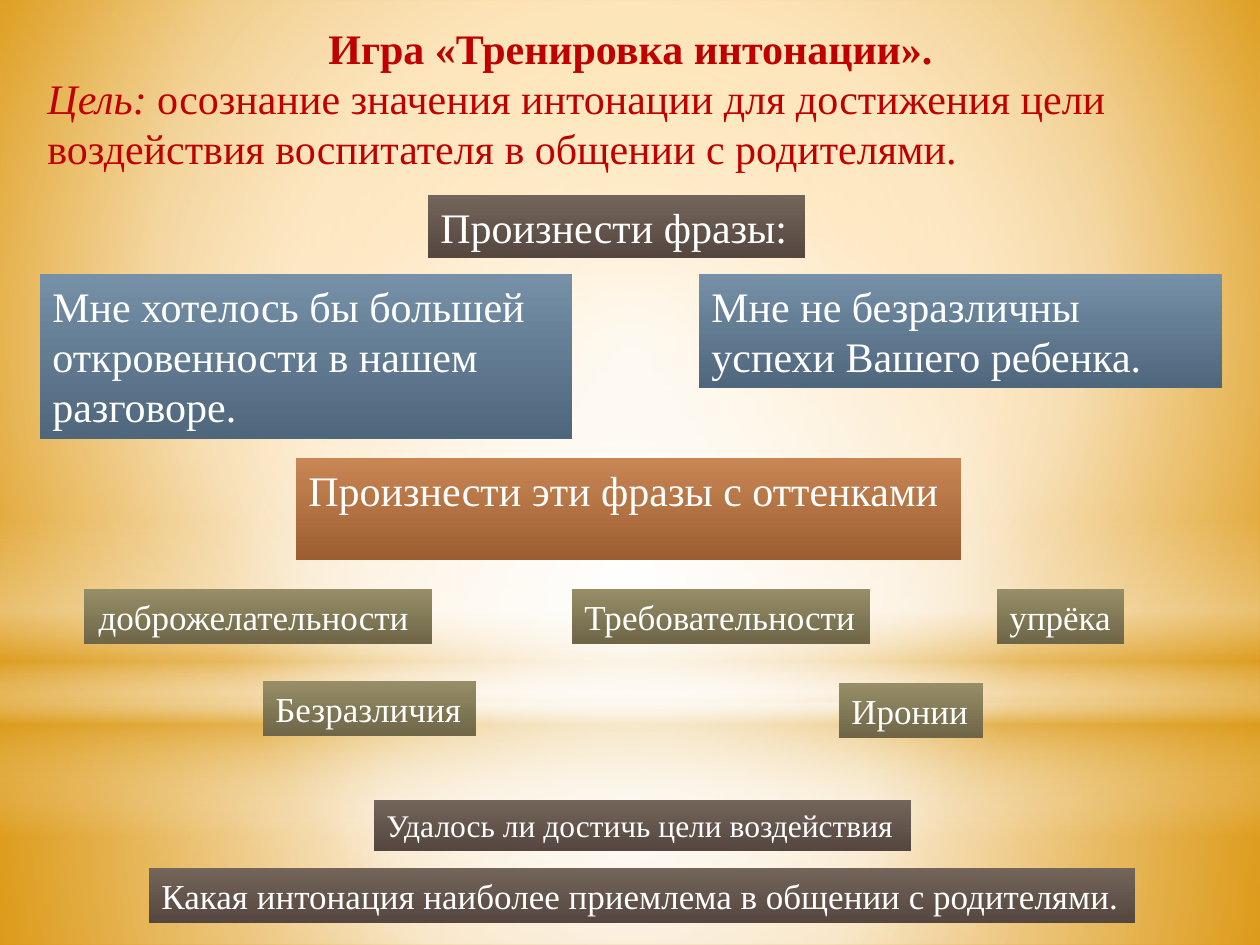
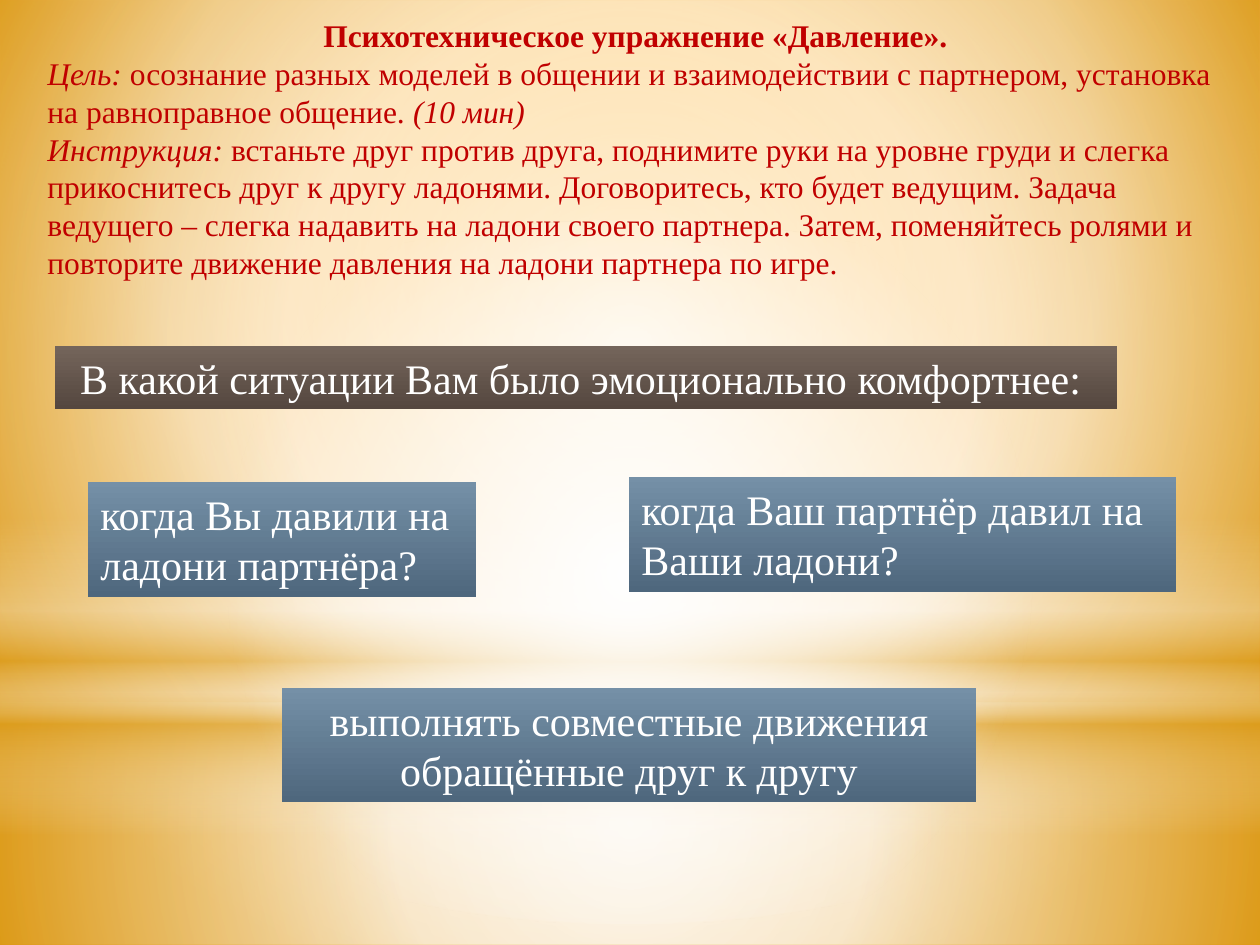
from lxml.etree import SubElement
from pptx import Presentation
from pptx.dml.color import RGBColor
from pptx.enum.shapes import MSO_SHAPE as Preset
from pptx.enum.text import MSO_ANCHOR as Anchor, PP_ALIGN as Align
from pptx.oxml.ns import qn
from pptx.util import Emu, Pt

FONT = "Times New Roman"
WHITE, RED, GOLD = "FFFFFF", "C00000", "DC9E1F"
BROWN = [(0, "74655B"), (100, "55473F")]
BLUE = [(0, "7590A7"), (100, "4E677D")]
ORANGE = [(0, "C88655"), (100, "9C5E30")]
OLIVE = [(0, "978D67"), (100, "6E6647")]
CENTRE = (50, 50, 50, 50)
SLIDE_BOX = (0, 0, 1260, 945)


def px(value):
    return Emu(round(value * 914400 / 126))


def color(value):
    return RGBColor.from_string(value)


def set_gradient(fill, element, stops, focus=None):
    fill.gradient()
    gradient = next(element.iter(qn("a:gradFill")))
    for child in list(gradient):
        gradient.remove(child)
    gradient.set("rotWithShape", "1")
    stop_list = SubElement(gradient, qn("a:gsLst"))
    for position, value, *alpha in stops:
        stop = SubElement(stop_list, qn("a:gs"), pos=str(position * 1000))
        tint = SubElement(stop, qn("a:srgbClr"), val=value)
        if alpha:
            SubElement(tint, qn("a:alpha"), val=str(alpha[0] * 1000))
    if focus:
        path = SubElement(gradient, qn("a:path"), path="circle")
        sides = {side: str(inset * 1000) for side, inset in zip("ltrb", focus)}
        SubElement(path, qn("a:fillToRect"), **sides)
    else:
        SubElement(gradient, qn("a:lin"), ang="5400000", scaled="0")


def add_panel(slide, box, stops, focus=None, preset=Preset.RECTANGLE):
    shape = slide.shapes.add_shape(preset, *map(px, box))
    shape.shadow.inherit = False
    shape.line.fill.background()
    set_gradient(shape.fill, shape.element, stops, focus)
    return shape


def style_run(run, size, value, bold=False, italic=False):
    font = run.font
    font.name, font.size = FONT, Pt(size)
    font.color.rgb = color(value)
    font.bold, font.italic = bold, italic


def add_backdrop(master, slide, box):
    left, top, width, height = box
    horizon = 703
    set_gradient(master.background.fill, master.element,
                 [(0, "FFA607"), (60, "F9CD88"), (100, "E08E02")], (20, 10, 20, 60))
    floor = [(0, WHITE, 91), (37, WHITE, 76), (100, GOLD, 79)]
    wall = [(0, WHITE, 89), (48, WHITE, 62), (100, GOLD, 79)]
    streak = [(0, WHITE, 0), (29, WHITE, 30), (45, GOLD, 40),
              (55, WHITE, 26), (65, GOLD, 60), (100, WHITE, 0)]
    glow = [(0, WHITE, 100), (56, WHITE, 0)]
    panels = [
        add_panel(slide, (left, top + horizon, width, height - horizon), floor, CENTRE),
        add_panel(slide, (left, top, width, horizon), wall, CENTRE),
        add_panel(slide, (left, top + 519, width, 315), streak),
        add_panel(slide, (left, top + 221, width, horizon), glow, CENTRE, Preset.OVAL),
    ]
    for number, panel in enumerate(panels):
        panel.element.nvSpPr.cNvPr.set("id", str(20 + number))
        master.shapes.element.insert(2 + number, panel.element)


def add_heading(slide, box, size, title, paragraphs):
    frame = slide.shapes.add_textbox(*map(px, box)).text_frame
    frame.word_wrap = True
    frame.text = title
    frame.paragraphs[0].alignment = Align.CENTER
    style_run(frame.paragraphs[0].runs[0], size, RED, bold=True)
    for parts in paragraphs:
        paragraph = frame.add_paragraph()
        for text, italic in parts:
            run = paragraph.add_run()
            run.text = text
            style_run(run, size, RED, italic=italic)


def add_card(slide, box, text, stops, size=24, align=Align.LEFT, wrap=True):
    frame = add_panel(slide, box, stops).text_frame
    frame.word_wrap = wrap
    frame.vertical_anchor = Anchor.TOP
    frame.text = text
    for paragraph in frame.paragraphs:
        paragraph.alignment = align
        for run in paragraph.runs:
            style_run(run, size, WHITE)


def add_phrases(slide, box):
    left, top, width, height = box
    add_card(slide, (left + 388, top, 377, 63), "Произнести фразы:", BROWN)
    add_card(slide, (left, top + 79, 532, height - 79),
             "Мне хотелось бы большей откровенности в нашем разговоре.", BLUE)
    add_card(slide, (left + width - 523, top + 79, 523, 114),
             "Мне не безразличны успехи Вашего ребенка.", BLUE)


def add_shades(slide, box):
    left, top = box[:2]
    add_card(slide, (left + 212, top, 665, 102), "Произнести эти фразы с оттенками", ORANGE)
    add_card(slide, (left, top + 131, 348, 55), "доброжелательности ", OLIVE, 20, Align.CENTER)
    shades = [(488, 131, 298, "Требовательности"), (913, 131, 127, "упрёка"),
              (179, 223, 213, "Безразличия"), (755, 225, 144, "Иронии")]
    for x, y, width, text in shades:
        add_card(slide, (left + x, top + y, width, 55), text, OLIVE, 20, wrap=False)


def add_conclusions(slide, box):
    left, top, width, height = box
    add_card(slide, (left + 225, top, 537, 51),
             "Удалось ли достичь цели воздействия", BROWN, 18, wrap=False)
    add_card(slide, (left, top + height - 55, width, 55),
             "Какая интонация наиболее приемлема в общении с родителями.", BROWN, 20)


def add_questions(slide, box):
    left, top, width = box[:3]
    add_card(slide, (left, top, 1062, 63),
             "В какой ситуации Вам было эмоционально комфортнее: ", BROWN, align=Align.CENTER)
    add_card(slide, (left + 33, top + 136, 388, 115),
             "когда Вы давили на\nладони партнёра?", BLUE, wrap=False)
    add_card(slide, (left + width - 547, top + 131, 547, 115),
             "когда Ваш партнёр давил на Ваши ладони?", BLUE)
    add_card(slide, (left + 227, top + 342, 694, 114),
             "выполнять совместные движения обращённые друг к другу", BLUE, align=Align.CENTER)


def build_intonation(slide):
    add_heading(slide, (35, 16, 1191, 165), 24, "Игра «Тренировка интонации».", [
        [("Цель:", True),
         (" осознание значения интонации для достижения цели воздействия "
          "воспитателя в общении с родителями.", False)],
    ])
    add_phrases(slide, (40, 195, 1182, 244))
    add_shades(slide, (84, 458, 1040, 280))
    add_conclusions(slide, (149, 800, 986, 123))


def build_pressure(slide):
    add_heading(slide, (35, 10, 1201, 280), 18, "Психотехническое упражнение «Давление».", [
        [("Цель:", True),
         (" осознание разных моделей в общении и взаимодействии с партнером, "
          "установка на равноправное общение. ", False),
         ("(10 мин)", True)],
        [("Инструкция: ", True),
         ("встаньте друг против друга, поднимите руки на уровне груди и слегка", False)],
        [("прикоснитесь друг к другу ладонями. Договоритесь, кто будет ведущим. "
          "Задача ведущего – слегка надавить на ладони своего партнера. Затем, "
          "поменяйтесь ролями и повторите движение давления на ладони партнера "
          "по игре.", False)],
    ])
    add_questions(slide, (55, 346, 1121, 456))


def main():
    presentation = Presentation()
    presentation.slide_width, presentation.slide_height = map(px, SLIDE_BOX[2:])
    blank = presentation.slide_layouts[6]
    first, second = (presentation.slides.add_slide(blank) for _ in range(2))
    add_backdrop(presentation.slide_master, first, SLIDE_BOX)
    build_intonation(first)
    build_pressure(second)
    presentation.save("out.pptx")


if __name__ == "__main__":
    main()
